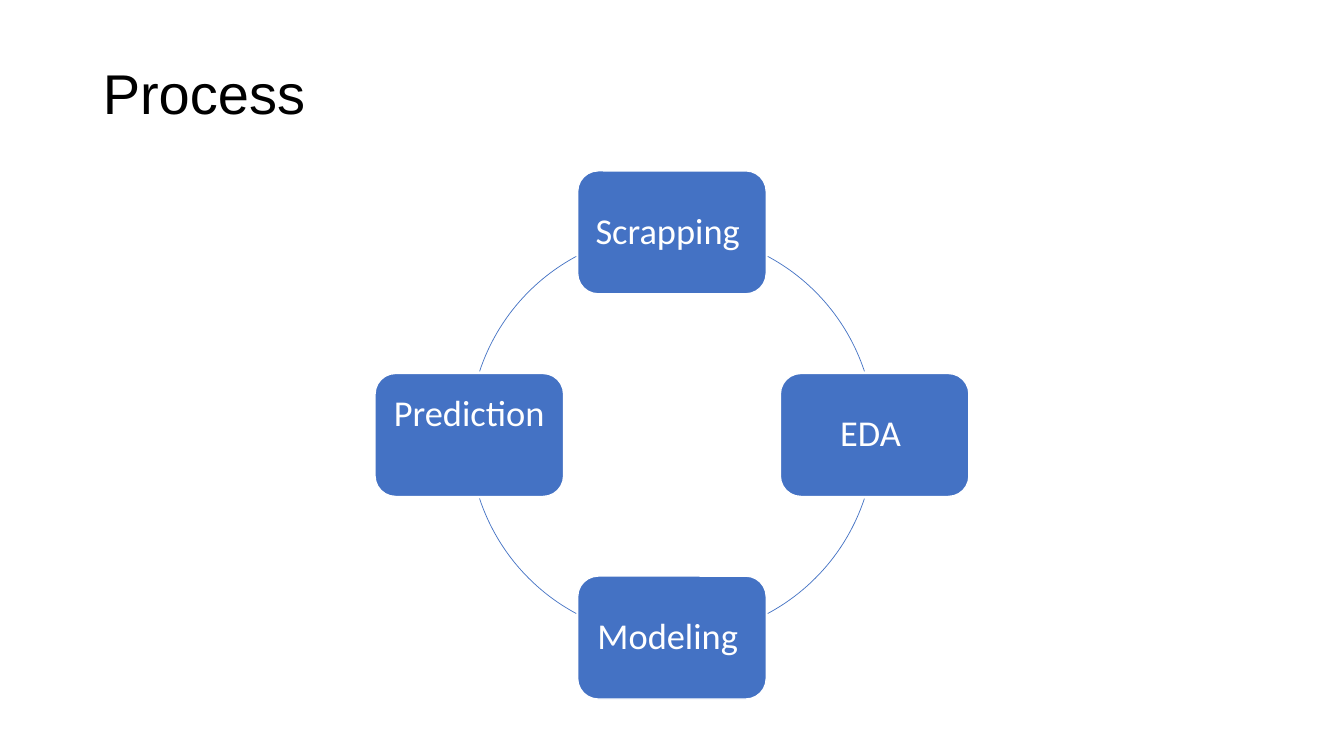
from math import cos, radians, sin

from pptx import Presentation
from pptx.dml.color import RGBColor
from pptx.enum.shapes import MSO_SHAPE
from pptx.enum.text import MSO_ANCHOR, PP_ALIGN
from pptx.util import Inches, Pt

TITLE = "Process"
STEPS = [
    {"text": "Scrapping ", "angle": -90, "lift": 0},
    {"text": "EDA ", "angle": 0, "lift": 0},
    {"text": "Modeling ", "angle": 90, "lift": 0},
    {"text": "Prediction", "angle": 180, "lift": 0.2},
]
ARC_STARTS = [298.2, 18.3, 118.2, 198.3]
ARC_SWEEP = 43.5

BLUE = RGBColor(0x44, 0x72, 0xC4)
WHITE = RGBColor(0xFF, 0xFF, 0xFF)
BLACK = RGBColor(0, 0, 0)
ROUNDED, ARC = MSO_SHAPE.ROUNDED_RECTANGLE, MSO_SHAPE.ARC
MIDDLE = MSO_ANCHOR.MIDDLE
LEFT, CENTER = PP_ALIGN.LEFT, PP_ALIGN.CENTER

CENTER_X, CENTER_Y, RADIUS = 6.665, 4.315, 2.01
BOX_W, BOX_H, INSET = 1.87, 1.22, 0.1


def write_text(sp, text, font, size, color, align, inset_x, inset_y, lift=0):
    tf = sp.text_frame
    tf.word_wrap = True
    tf.vertical_anchor = MIDDLE
    tf.margin_left = tf.margin_right = Inches(inset_x)
    tf.margin_top = Inches(inset_y)
    tf.margin_bottom = Inches(inset_y + 2 * lift)
    p = tf.paragraphs[0]
    p.alignment = align
    p.line_spacing = 0.9
    r = p.add_run()
    r.text = text
    r.font.name = font
    r.font.size = Pt(size)
    r.font.color.rgb = color


def add_shape(slide, kind, x, y, w, h, line, width):
    sp = slide.shapes.add_shape(kind, Inches(x), Inches(y), Inches(w), Inches(h))
    sp.shadow.inherit = False
    sp.line.color.rgb = line
    sp.line.width = Pt(width)
    return sp


prs = Presentation()
prs.slide_width, prs.slide_height = Inches(13.33), Inches(7.5)
slide = prs.slides.add_slide(prs.slide_layouts[5])

title = slide.shapes.title
title.left, title.top = Inches(0.92), Inches(0.4)
title.width, title.height = Inches(11.5), Inches(1.12)
write_text(title, TITLE, "Arial", 40, BLACK, LEFT, 0.1, 0.05)

for step, start in zip(STEPS, ARC_STARTS):
    angle = radians(step["angle"])
    x = CENTER_X + RADIUS * cos(angle) - BOX_W / 2
    y = CENTER_Y + RADIUS * sin(angle) - BOX_H / 2
    box = add_shape(slide, ROUNDED, x, y, BOX_W, BOX_H, WHITE, 1)
    box.fill.solid()
    box.fill.fore_color.rgb = BLUE
    write_text(box, step["text"], "Calibri", 26, WHITE, CENTER, INSET, INSET, step["lift"])

    arc = add_shape(slide, ARC, CENTER_X - RADIUS, CENTER_Y - RADIUS,
                    2 * RADIUS, 2 * RADIUS, BLUE, 0.5)
    arc.fill.background()
    arc.adjustments[0] = start * 0.6
    arc.adjustments[1] = (start + ARC_SWEEP) * 0.6

prs.save("out.pptx")
